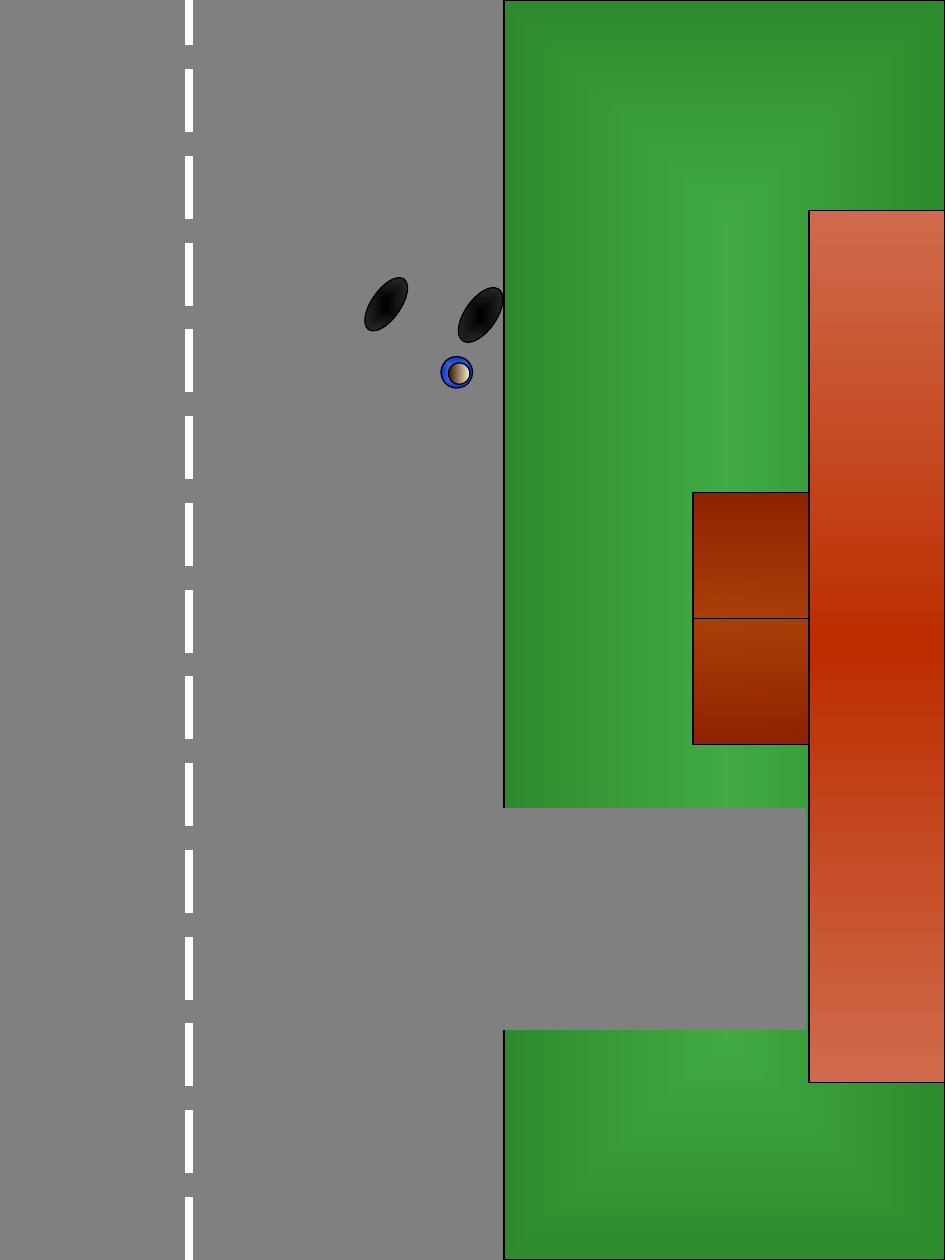
from dataclasses import dataclass
from typing import Optional

import pptx
import pptx.dml.color
import pptx.enum.dml
import pptx.enum.shapes
import pptx.oxml
import pptx.oxml.ns
import pptx.util

Inches = pptx.util.Inches
RECTANGLE = pptx.enum.shapes.MSO_SHAPE.RECTANGLE
OVAL = pptx.enum.shapes.MSO_SHAPE.OVAL

COLOURS = {
    "road": "808080",
    "outline": "000000",
    "marking": "FFFFFF",
    "tyre": "343434",
    "grass centre": "3AB03A",
    "grass edge": "2D8A2D",
    "shirt centre": "7490E2",
    "shirt edge": "0033CC",
    "hair light": "FFEDCD",
    "hair dark": "321900",
    "porch eave": "8E2200",
    "roof ridge": "BC2D00",
    "roof eave": "CF6B4C",
}


@dataclass(frozen=True)
class Stop:
    position: int
    colour: str
    opacity: int = 100


@dataclass(frozen=True)
class Gradient:
    stops: tuple[Stop, ...]
    angle: Optional[int] = None


@dataclass(frozen=True)
class Area:
    kind: pptx.enum.shapes.MSO_SHAPE
    left: float
    top: float
    width: float
    height: float
    fill: Gradient | str
    outline: str = "outline"
    rotation: float = 0


TYRE = Gradient((Stop(0, "outline"), Stop(100, "tyre")))
GRASS = Gradient((Stop(0, "grass centre", 88), Stop(100, "grass edge")))
SHIRT = Gradient((Stop(0, "shirt centre"), Stop(100, "shirt edge")))
HAIR = Gradient((Stop(0, "hair light"), Stop(100, "hair dark")), 180)
PORCH = Gradient((Stop(0, "porch eave"), Stop(50, "roof ridge", 84), Stop(100, "porch eave")), 90)
ROOF = Gradient((Stop(0, "roof eave"), Stop(50, "roof ridge"), Stop(100, "roof eave")), 90)

LEFT_TYRE = Area(OVAL, 2.95, 2.17, 0.23, 0.49, TYRE, rotation=35)
RIGHT_TYRE = Area(OVAL, 3.69, 2.25, 0.25, 0.5, TYRE, rotation=35)
LAWN = Area(RECTANGLE, 4, 0, 3.5, 10, GRASS)
DRIVEWAY = Area(RECTANGLE, 3.97, 6.42, 2.42, 1.75, "road", "road")
SHOULDERS = Area(OVAL, 3.5, 2.83, 0.25, 0.25, SHIRT)
HEAD = Area(OVAL, 3.56, 2.88, 0.17, 0.17, HAIR)
PORCH_ROOF = Area(RECTANGLE, 5.5, 3.91, 0.92, 2, PORCH)
HOUSE_ROOF = Area(RECTANGLE, 6.42, 1.67, 1.08, 6.92, ROOF)


def rgb(colour: str) -> pptx.dml.color.RGBColor:
    return pptx.dml.color.RGBColor.from_string(COLOURS[colour])


def apply_gradient(shape, gradient: Gradient) -> None:
    stops = "".join(
        f'<a:gs pos="{stop.position * 1000}"><a:srgbClr val="{COLOURS[stop.colour]}">'
        f'<a:alpha val="{stop.opacity * 1000}"/></a:srgbClr></a:gs>'
        for stop in gradient.stops
    )
    if gradient.angle is None:
        direction = (
            '<a:path path="rect"><a:fillToRect l="50000" t="50000" r="50000" b="50000"/></a:path>'
        )
    else:
        direction = f'<a:lin ang="{gradient.angle * 60000}" scaled="1"/>'
    gradient_fill = pptx.oxml.parse_xml(
        f'<a:gradFill {pptx.oxml.ns.nsdecls("a")} rotWithShape="1">'
        f"<a:gsLst>{stops}</a:gsLst>{direction}</a:gradFill>"
    )
    properties = shape._element.spPr
    solid_fill = properties.find(pptx.oxml.ns.qn("a:solidFill"))
    properties.replace(solid_fill, gradient_fill)


def format_line(line, colour: str, **formats) -> None:
    line.color.rgb = rgb(colour)
    for attribute, value in ({"width": pptx.util.Pt(0.75)} | formats).items():
        setattr(line, attribute, value)


def draw_area(shapes, area: Area):
    frame = (area.left, area.top, area.width, area.height)
    shape = shapes.add_shape(area.kind, *(Inches(length) for length in frame))
    shape.rotation = area.rotation
    shape.shadow.inherit = False
    shape.fill.solid()
    if isinstance(area.fill, Gradient):
        apply_gradient(shape, area.fill)
    else:
        shape.fill.fore_color.rgb = rgb(area.fill)
    format_line(shape.line, area.outline)
    return shape


def draw_line(shapes, start: tuple[float, float], end: tuple[float, float],
              colour: str, **formats):
    connector = shapes.add_connector(
        pptx.enum.shapes.MSO_CONNECTOR.STRAIGHT,
        *(Inches(length) for length in start + end),
    )
    connector._element.spPr.append(
        pptx.oxml.parse_xml(f'<a:effectLst {pptx.oxml.ns.nsdecls("a")}/>')
    )
    format_line(connector.line, colour, **formats)
    return connector


def main() -> None:
    presentation = pptx.Presentation()
    presentation.slide_width = Inches(7.5)
    presentation.slide_height = Inches(10)
    slide = presentation.slides.add_slide(presentation.slide_layouts[6])
    slide.background.fill.solid()
    slide.background.fill.fore_color.rgb = rgb("road")
    shapes = slide.shapes

    for area in (LEFT_TYRE, LAWN):
        draw_area(shapes, area)
    draw_line(shapes, (1.5, 10), (1.5, 0), "marking",
              width=pptx.util.Pt(4.5), dash_style=pptx.enum.dml.MSO_LINE.LONG_DASH)
    for area in (RIGHT_TYRE, DRIVEWAY):
        draw_area(shapes, area)

    person = shapes.add_group_shape()
    for area in (SHOULDERS, HEAD):
        draw_area(person.shapes, area)

    porch = shapes.add_group_shape()
    porch_roof = draw_area(porch.shapes, PORCH_ROOF)
    ridge_height = PORCH_ROOF.top + PORCH_ROOF.height / 2
    ridge = draw_line(porch.shapes, (PORCH_ROOF.left, ridge_height),
                      (PORCH_ROOF.left + PORCH_ROOF.width, ridge_height), "outline")
    ridge.begin_connect(porch_roof, 1)
    ridge.end_connect(porch_roof, 3)

    draw_area(shapes, HOUSE_ROOF)
    presentation.save("out.pptx")


if __name__ == "__main__":
    main()
